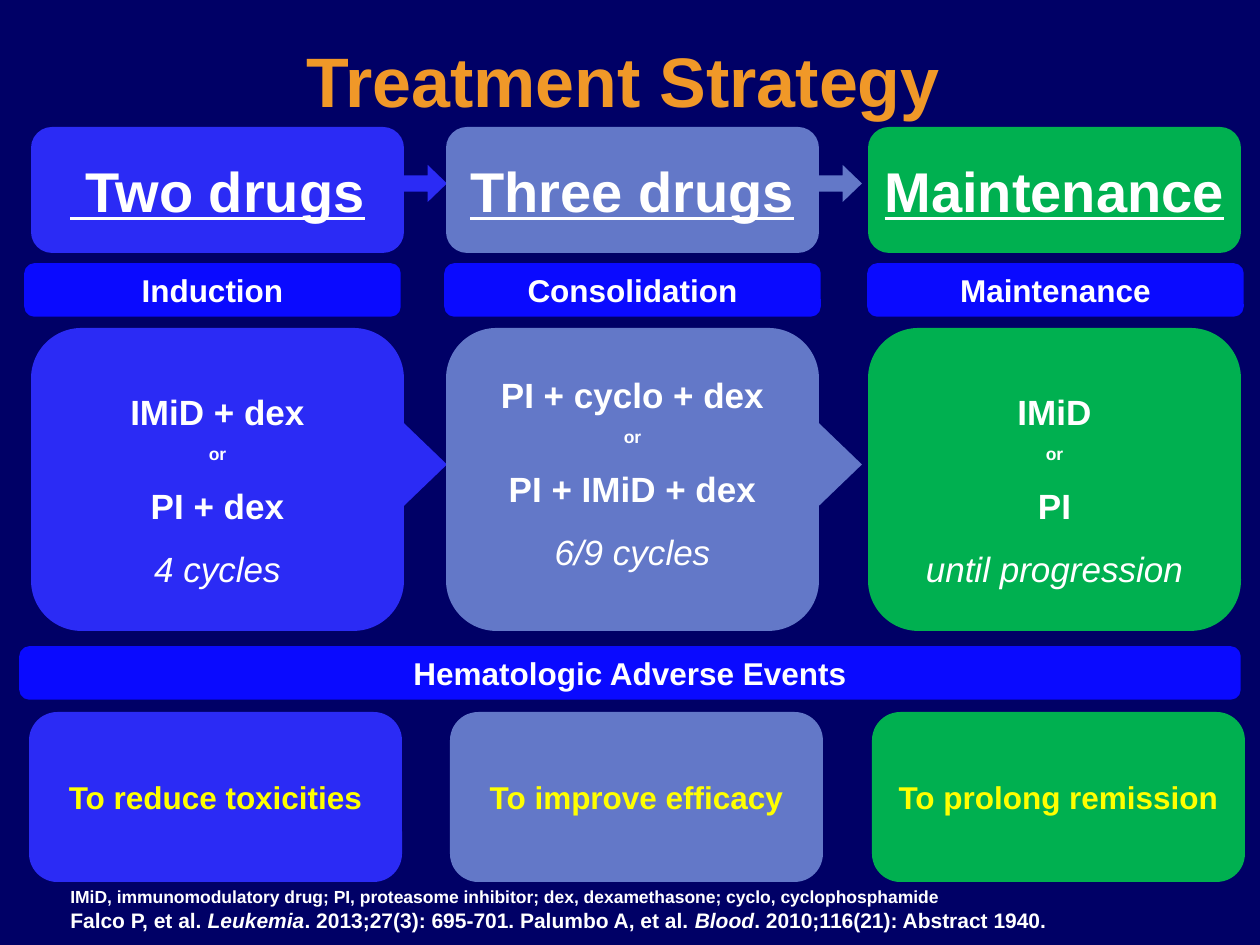
from lxml import etree
from pptx import Presentation
from pptx.dml.color import RGBColor
from pptx.enum.shapes import MSO_SHAPE
from pptx.enum.text import MSO_ANCHOR, PP_ALIGN
from pptx.oxml.ns import qn
from pptx.util import Emu, Pt

# Content
TITLE = "Treatment Strategy"
PHASES = [
    dict(header=" Two drugs", label="Induction", color="2B2BF5", goal="To reduce toxicities",
         regimen=["IMiD + dex", "or", "PI + dex", "4 cycles"]),
    dict(header="Three drugs", label="Consolidation", color="6378C8", goal="To improve efficacy",
         regimen=["PI + cyclo + dex", "or", "PI + IMiD + dex", "6/9 cycles"]),
    dict(header="Maintenance", label="Maintenance", color="00B050", goal="To prolong remission",
         regimen=["IMiD", "or", "PI", "until progression"]),
]
EVENTS = "Hematologic Adverse Events"
ABBREVIATIONS = ("IMiD, immunomodulatory drug; PI, proteasome inhibitor; "
                 "dex, dexamethasone; cyclo, cyclophosphamide")
# Citation pieces: text, italic
CITATION = [
    ("Falco P, et al. ", False), ("Leukemia", True),
    (". 2013;27(3): 695-701. Palumbo A, et al. ", False), ("Blood", True),
    (". 2010;116(21): Abstract 1940.", False),
]
WHITE, YELLOW, ORANGE, BAR, NAVY = "FFFFFF", "FFFF00", "F09828", "0A0AFF", "000066"

# Layout in px: left edges of the columns, then (top, height) of the rows
BOX_LEFTS, LABEL_LEFTS, GOAL_LEFTS = (31, 446, 868), (26, 446, 869), (29, 450, 872)
COLUMN_WIDTH = 373
HEADER_ROW, LABEL_ROW, REGIMEN_ROW, GOAL_ROW = (127, 126), (265, 50), (328, 303), (712, 170)
ARROW_ROWS = [(420, 89), (165, 37)]
ARROW_OFFSET, ARROW_WIDTH = 300, 116
RAISED_INSET = 40  # bottom inset that lifts the consolidation regimen


def px(n):
    return Emu(round(n * 914400 / 126))


def rgb(color):
    return RGBColor.from_string(color)


def style(paragraph, size, color=WHITE, bold=True, align=PP_ALIGN.CENTER):
    paragraph.alignment = align
    font = paragraph.font
    font.name, font.size, font.bold = "Arial", Pt(size), bold
    font.color.rgb = rgb(color)
    return font


def add_block(slide, kind, left, row, width, color, outline=False):
    top, height = row
    block = slide.shapes.add_shape(kind, px(left), px(top), px(width), px(height))
    block.shadow.inherit = False
    block.fill.solid()
    block.fill.fore_color.rgb = rgb(color)
    if outline:
        block.line.color.rgb = rgb(color)
        block.line.width = Pt(2)
    else:
        block.line.fill.background()
    return block


def add_box(slide, left, row, width, color, text, size, text_color=WHITE, outline=False):
    box = add_block(slide, MSO_SHAPE.ROUNDED_RECTANGLE, left, row, width, color, outline)
    frame = box.text_frame
    frame.word_wrap = False
    frame.vertical_anchor = MSO_ANCHOR.MIDDLE
    frame.text = text
    return frame, style(frame.paragraphs[0], size, text_color)


def add_text(slide, left, top, width, height):
    frame = slide.shapes.add_textbox(px(left), px(top), px(width), px(height)).text_frame
    frame.word_wrap = True
    return frame


def add_title(slide):
    frame = add_text(slide, 56, 15, 1134, 140)
    frame.vertical_anchor = MSO_ANCHOR.MIDDLE
    heading = frame.paragraphs[0]
    heading.line_spacing = 0.9
    run = heading.add_run()
    run.text = TITLE
    style(heading, 40, ORANGE)
    # Black text shadow
    effects = etree.SubElement(run.font._element, qn("a:effectLst"))
    shadow = etree.SubElement(effects, qn("a:outerShdw"), dist="38100", dir="2700000")
    etree.SubElement(shadow, qn("a:srgbClr"), val="000000")


def add_arrows(slide):
    for row in ARROW_ROWS:
        for left, phase in zip(BOX_LEFTS, PHASES[:-1]):
            arrow = add_block(slide, MSO_SHAPE.RIGHT_ARROW, left + ARROW_OFFSET, row,
                              ARROW_WIDTH, phase["color"])
            arrow.adjustments[0], arrow.adjustments[1] = 0.44, 0.52


def add_regimen(slide, left, phase):
    lines = phase["regimen"]
    frame, _ = add_box(slide, left, REGIMEN_ROW, COLUMN_WIDTH, phase["color"],
                       "\n".join(lines), 20)
    for line, paragraph in zip(lines, frame.paragraphs):
        is_duration = line == lines[-1]
        font = style(paragraph, 10 if line == "or" else 20, bold=not is_duration)
        font.italic = is_duration
        paragraph.line_spacing = 1.5
    return frame


def add_footer(slide):
    frame = add_text(slide, 58, 880, 1197, 59)
    abbreviations = frame.paragraphs[0]
    abbreviations.text = ABBREVIATIONS
    style(abbreviations, 10, align=PP_ALIGN.LEFT)
    citation = frame.add_paragraph()
    for text, italic in CITATION:
        run = citation.add_run()
        run.text = text
        run.font.italic = italic
    style(citation, 12, align=PP_ALIGN.LEFT)


def main():
    prs = Presentation()
    prs.slide_width, prs.slide_height = px(1260), px(945)
    slide = prs.slides.add_slide(prs.slide_layouts[6])
    slide.background.fill.solid()
    slide.background.fill.fore_color.rgb = rgb(NAVY)

    add_title(slide)
    add_arrows(slide)

    # Phase columns
    for i, phase in enumerate(PHASES):
        color = phase["color"]
        _, header_font = add_box(slide, BOX_LEFTS[i], HEADER_ROW, COLUMN_WIDTH, color,
                                 phase["header"], 32)
        header_font.underline = True
        add_box(slide, LABEL_LEFTS[i], LABEL_ROW, COLUMN_WIDTH, BAR, phase["label"], 18,
                outline=True)
        regimen = add_regimen(slide, BOX_LEFTS[i], phase)
        if phase["label"] == "Consolidation":
            regimen.margin_bottom = px(RAISED_INSET)
        add_box(slide, GOAL_LEFTS[i], GOAL_ROW, COLUMN_WIDTH, color, phase["goal"], 18, YELLOW)

    # Full-width bar and footer
    add_box(slide, 21, (648, 50), 1218, BAR, EVENTS, 18, outline=True)
    add_footer(slide)
    prs.save("out.pptx")


if __name__ == "__main__":
    main()
